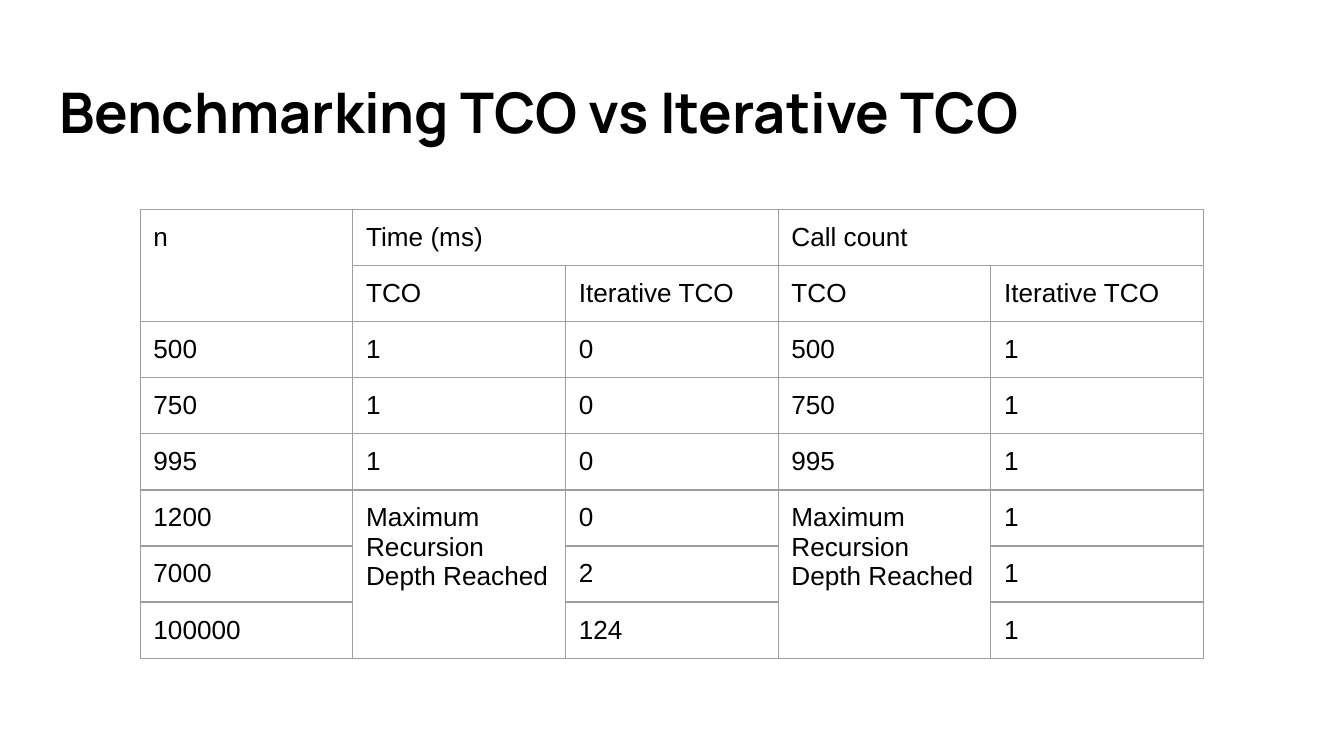
from pptx import Presentation
from pptx.dml.color import RGBColor
from pptx.enum.text import MSO_ANCHOR as Anchor, PP_ALIGN as Align
from pptx.oxml.ns import qn
from pptx.util import Cm, Pt
from lxml.etree import SubElement

INSET = Cm(0.25)
ROWS = [
    ["n", "Time (ms)", "", "Call count", ""],
    ["", "TCO", "Iterative TCO", "TCO", "Iterative TCO"],
    ["500", "1", "0", "500", "1"],
    ["750", "1", "0", "750", "1"],
    ["995", "1", "0", "995", "1"],
    ["1200", "Maximum Recursion Depth Reached", "0",
     "Maximum Recursion Depth Reached", "1"],
    ["7000", "", "2", "", "1"],
    ["100000", "", "124", "", "1"],
]
MERGES = [
    ((0, 0), (1, 0)),
    ((0, 1), (0, 2)),
    ((0, 3), (0, 4)),
    ((5, 1), (7, 1)),
    ((5, 3), (7, 3)),
]


def rgb(value):
    return RGBColor.from_string(value)


def write(tf, text, font="Arial", size=14, color="000000", bold=False):
    p = tf.paragraphs[0]
    p.alignment = Align.LEFT
    r = p.add_run()
    r.text = text
    r.font.name = font
    r.font.size = Pt(size)
    r.font.bold = bold
    r.font.color.rgb = rgb(color)


def set_insets(box):
    box.margin_left = box.margin_right = INSET
    box.margin_top = box.margin_bottom = INSET


def add_title(s, text):
    sp = s.shapes.title
    sp.left, sp.top, sp.width, sp.height = Cm(0.87), Cm(1.24), Cm(23.67), Cm(1.73)
    tf = sp.text_frame
    tf.word_wrap = True
    tf.vertical_anchor = Anchor.MIDDLE
    set_insets(tf)
    write(tf, text, font="Manrope", size=30, bold=True)


def set_borders(cell, color="9E9E9E", width=0.75):
    props = cell._tc.get_or_add_tcPr()
    for side in ("lnL", "lnR", "lnT", "lnB"):
        line = SubElement(props, qn(f"a:{side}"), w=str(Pt(width)))
        fill = SubElement(line, qn("a:solidFill"))
        SubElement(fill, qn("a:srgbClr"), val=color)


def add_benchmark_table(s):
    col_width, row_height = Cm(4.02), Cm(1.06)
    n_rows, n_cols = len(ROWS), len(ROWS[0])
    table = s.shapes.add_table(n_rows, n_cols, Cm(2.65), Cm(3.96),
                               col_width * n_cols, row_height * n_rows).table
    table.first_row = table.horz_banding = False
    for col in table.columns:
        col.width = col_width
    for row, values in zip(table.rows, ROWS):
        row.height = row_height
        for cell, text in zip(row.cells, values):
            set_insets(cell)
            set_borders(cell)
            cell.fill.background()
            if text:
                write(cell.text_frame, text)
    for first, last in MERGES:
        table.cell(*first).merge(table.cell(*last))


def main():
    prs = Presentation()
    prs.slide_width, prs.slide_height = Cm(25.4), Cm(14.29)
    s = prs.slides.add_slide(prs.slide_layouts[5])
    s.background.fill.solid()
    s.background.fill.fore_color.rgb = rgb("FFFFFF")
    add_title(s, "Benchmarking TCO vs Iterative TCO")
    add_benchmark_table(s)
    prs.save("out.pptx")


if __name__ == "__main__":
    main()
